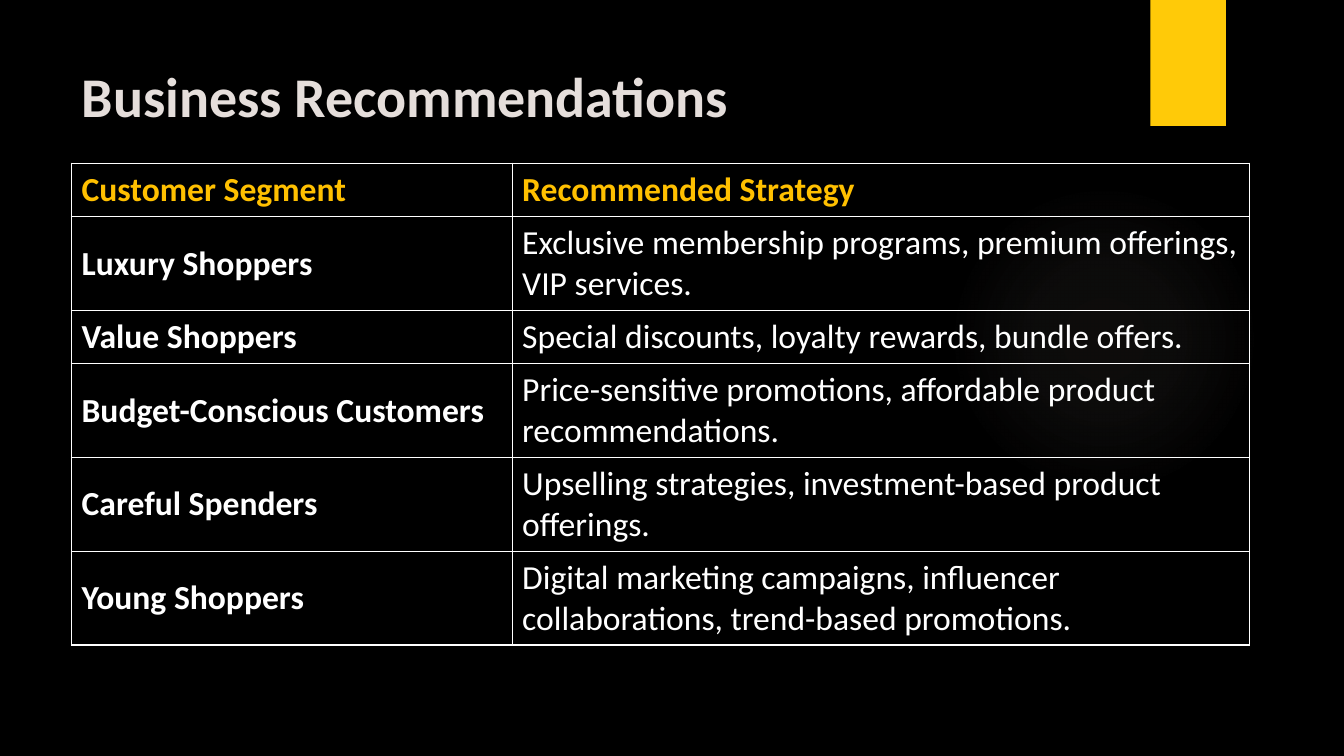
from lxml import etree
from pptx import Presentation
from pptx.dml.color import RGBColor
from pptx.enum.shapes import MSO_SHAPE as Shape
from pptx.enum.text import MSO_ANCHOR as Anchor, PP_ALIGN as Align
from pptx.oxml import parse_xml
from pptx.oxml.ns import qn
from pptx.util import Inches, Pt

BLACK = RGBColor(0x00, 0x00, 0x00)
WHITE = RGBColor(0xFF, 0xFF, 0xFF)
GOLD = RGBColor(0xFF, 0xC0, 0x00)
AMBER = RGBColor(0xFF, 0xCA, 0x08)
CREAM = RGBColor(0xE5, 0xDE, 0xDB)
TAUPE = RGBColor(0xB9, 0xAA, 0xA0)
FONT = "Calibri"
NS = 'xmlns:a="http://schemas.openxmlformats.org/drawingml/2006/main"'

WIDE, HIGH = 13.33, 7.5
LEFT = 0.71
COLS = (4.37, 7.31)
ONE, TWO = 0.53, 0.93
HEAD = ("Customer Segment", "Recommended Strategy")
ROWS = (
    (TWO, "Luxury Shoppers",
     "Exclusive membership programs, premium offerings, VIP services."),
    (ONE, "Value Shoppers",
     "Special discounts, loyalty rewards, bundle offers."),
    (TWO, "Budget-Conscious Customers",
     "Price-sensitive promotions, affordable product recommendations."),
    (TWO, "Careful Spenders",
     "Upselling strategies, investment-based product offerings."),
    (TWO, "Young Shoppers",
     "Digital marketing campaigns, influencer collaborations, "
     "trend-based promotions."),
)


def write(frame, text, size=24, color=WHITE, bold=False):
    """Put one formatted line of text in a frame."""
    frame.word_wrap = True
    frame.vertical_anchor = Anchor.MIDDLE
    para = frame.paragraphs[0]
    para.alignment = Align.LEFT
    run = para.add_run()
    run.text = text
    font = run.font
    font.name, font.size, font.bold = FONT, Pt(size), bold
    font.color.rgb = color


def plain(slide, kind, box):
    """Add a preset shape without line or shadow."""
    shape = slide.shapes.add_shape(kind, *map(Inches, box))
    shape.shadow.inherit = False
    shape.line.fill.background()
    return shape


def glow(slide, box):
    """Add a faint round glow that fades to its rim."""
    shape = plain(slide, Shape.OVAL, box)
    stops = "".join(
        f'<a:gs pos="{pos}000"><a:srgbClr val="{TAUPE}">'
        f'<a:alpha val="{alpha}000"/></a:srgbClr></a:gs>'
        for pos, alpha in ((0, 7), (36, 6), (69, 0)))
    fill = parse_xml(
        f'<a:gradFill {NS}><a:gsLst>{stops}</a:gsLst><a:path path="circle">'
        '<a:fillToRect l="50000" t="50000" r="50000" b="50000"/>'
        '</a:path></a:gradFill>')
    shape.element.spPr.find(qn("a:prstGeom")).addnext(fill)


def ribbon(slide, box):
    """Add the amber tab at the top edge with its soft shadow."""
    shape = plain(slide, Shape.RECTANGLE, box)
    shape.fill.solid()
    shape.fill.fore_color.rgb = AMBER
    shape.element.spPr.find(qn("a:effectLst")).append(parse_xml(
        f'<a:outerShdw {NS} blurRad="{Pt(3)}" dist="{Pt(2)}" dir="5400000">'
        f'<a:srgbClr val="{BLACK}"><a:alpha val="45000"/></a:srgbClr>'
        '</a:outerShdw>'))


def heading(slide, box, text):
    """Place the slide title."""
    title = slide.shapes.title
    title.left, title.top, title.width, title.height = map(Inches, box)
    write(title.text_frame, text, size=40, color=CREAM, bold=True)


def border(cell):
    """Draw a thin white line on all four sides of a cell."""
    props = cell._tc.get_or_add_tcPr()
    for at, side in enumerate(("lnL", "lnR", "lnT", "lnB")):
        line = etree.Element(qn("a:" + side), w=str(Pt(1)))
        fill = etree.SubElement(line, qn("a:solidFill"))
        etree.SubElement(fill, qn("a:srgbClr"), val=str(WHITE))
        props.insert(at, line)


def grid(slide, left, top):
    """Build the table of segments and strategies."""
    rows = ((ONE, *HEAD), *ROWS)
    high = sum(row[0] for row in rows)
    table = slide.shapes.add_table(
        len(rows), len(COLS), *map(Inches, (left, top, sum(COLS), high))).table
    table.first_row = table.horz_banding = False
    for col, wide in zip(table.columns, COLS):
        col.width = Inches(wide)
    for at, (tall, *texts) in enumerate(rows):
        table.rows[at].height = Inches(tall)
        for col, text in enumerate(texts):
            cell = table.cell(at, col)
            cell.fill.background()
            border(cell)
            write(cell.text_frame, text, color=WHITE if at else GOLD,
                  bold=at == 0 or col == 0)
            cell.vertical_anchor = Anchor.MIDDLE


def main():
    """Make the deck and save it."""
    deck = Presentation()
    deck.slide_width, deck.slide_height = Inches(WIDE), Inches(HIGH)
    slide = deck.slides.add_slide(deck.slide_layouts[5])
    back = slide.background.fill
    back.solid()
    back.fore_color.rgb = BLACK
    glow(slide, (9.41, 1.83, 3.08, 3.08))
    ribbon(slide, (11.41, 0, 0.75, HIGH / 6))
    heading(slide, (LEFT, 0.5, 10.29, 0.88), "Business Recommendations")
    grid(slide, LEFT, 1.62)
    deck.save("out.pptx")


if __name__ == "__main__":
    main()
